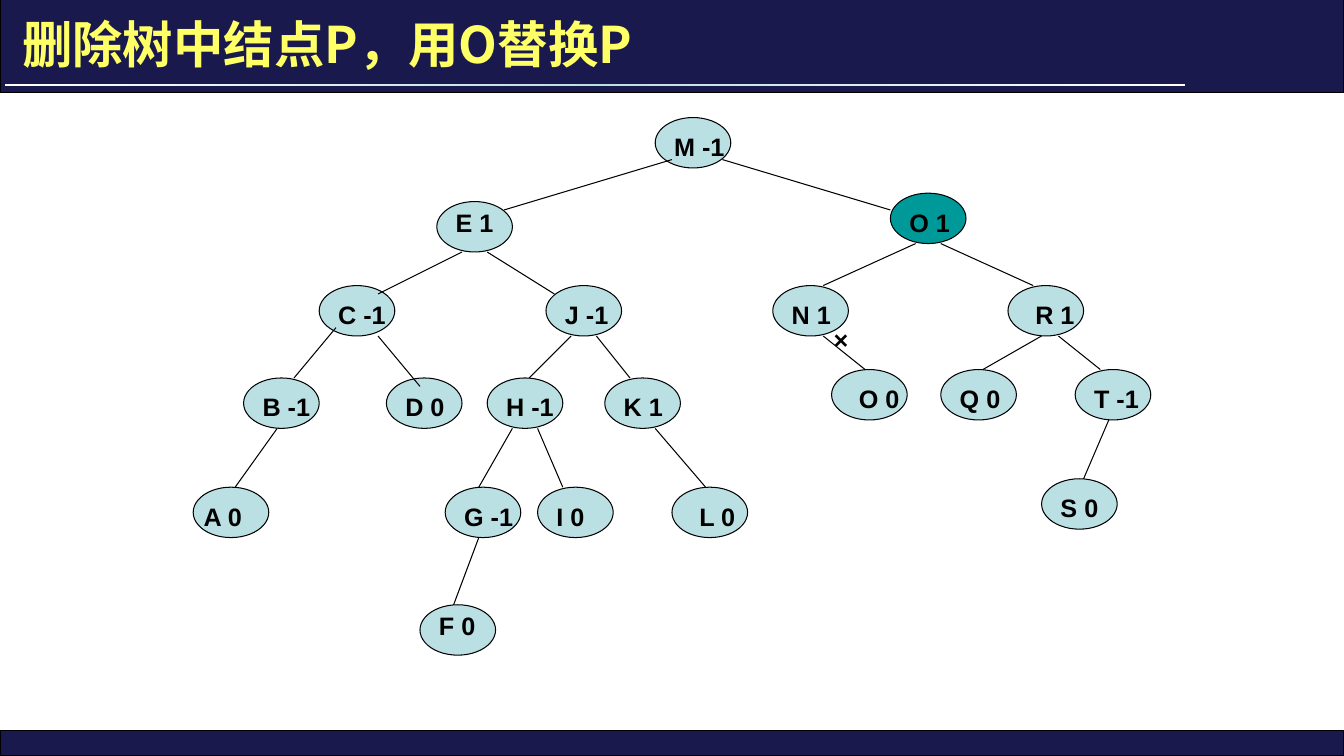
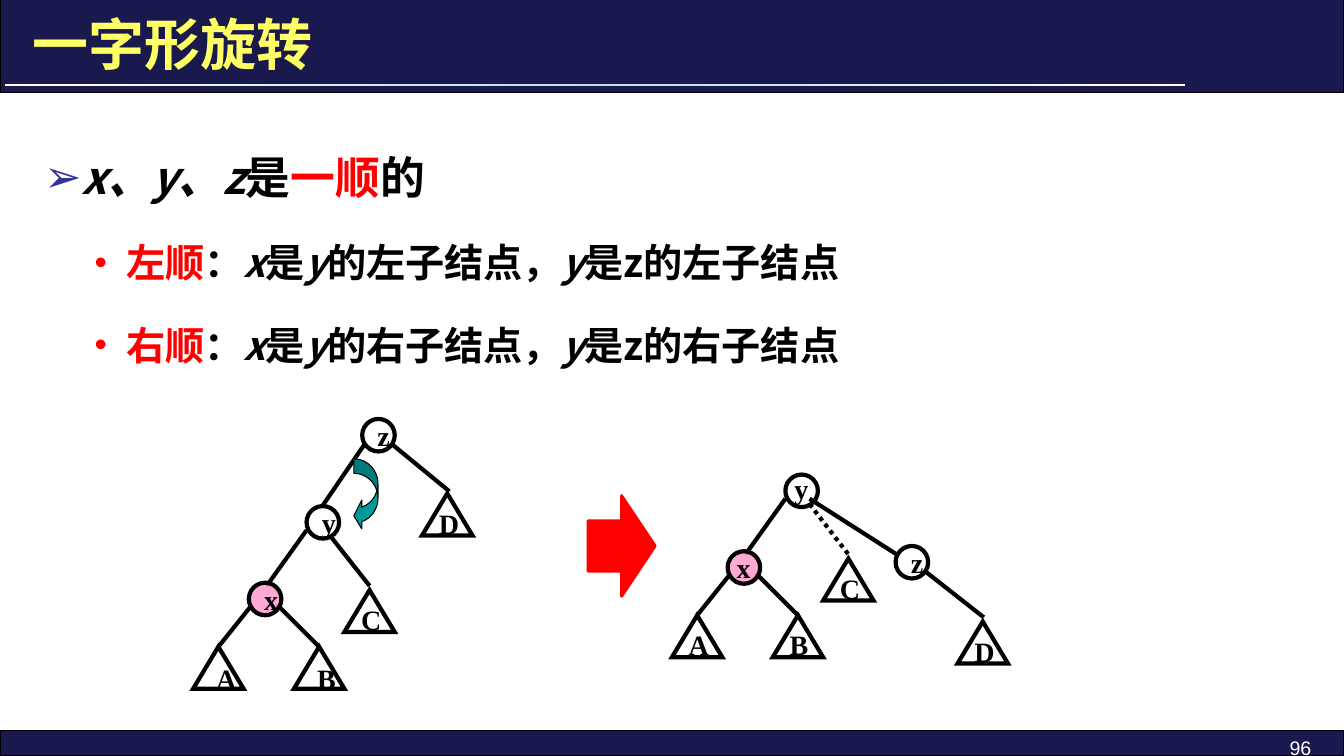
from lxml import etree
from pptx import Presentation, util as u
from pptx.dml.color import RGBColor
from pptx.enum import dml, shapes, text
from pptx.oxml.ns import qn

PX = 9525
COLORS = {"navy": "19194D", "black": "000000", "white": "FFFFFF", "yellow": "FFFF66",
          "pale": "BBE0E3", "teal": "009999", "pink": "FF99CC", "red": "FF0000",
          "bullet": "333399"}
HAN = "Noto Sans CJK SC"
SHAPE = shapes.MSO_SHAPE
WIDE, NEAR, LOW = (10, 5, 10, 5), (4, 1, 10, 5), (4, 5, 10, 5)

# label, left, top, then the offset of the label where it differs
AVL_SIZE, LABEL_SIZE, LABEL_OFFSET = (72, 48), (72, 38), (8, 8)
AVL_NODES = [
    ("M -1", 624, 112), ("E 1", 416, 192, (8, 0)), ("O 1", 848, 184),
    ("C -1", 304, 272), ("J -1", 520, 272), ("N 1", 736, 272),
    ("R 1", 960, 272, (16, 8)),
    ("B -1", 232, 360), ("D 0", 368, 360), ("H -1", 464, 360), ("K 1", 576, 360),
    ("O 0", 792, 352, (16, 8)), ("Q 0", 896, 352), ("T -1", 1024, 352),
    ("A 0", 184, 464, (0, 8)), ("G -1", 424, 464), ("I 0", 512, 464),
    ("L 0", 640, 464, (16, 8)), ("S 0", 992, 456),
    ("F 0", 400, 576, (8, 0)),
]
REPLACEMENT = "O 1"
AVL_EDGES = [
    (640, 152, 480, 200), (688, 152, 848, 200), (440, 240, 360, 280), (464, 240, 528, 280),
    (320, 312, 280, 360), (360, 320, 400, 368), (264, 408, 224, 464), (544, 320, 504, 360),
    (568, 320, 600, 360), (488, 408, 456, 464), (512, 408, 536, 464), (624, 408, 672, 464),
    (456, 512, 432, 576), (872, 232, 784, 272), (896, 232, 984, 272), (784, 320, 824, 352),
    (992, 320, 936, 352), (1008, 320, 1048, 352), (1056, 400, 1032, 456),
]

# level, then runs of (text, marks): i italic, r red
RULES = [
    (0, [("x、y、z", "i"), ("是", ""), ("一顺", "r"), ("的", "")]),
    (1, [("左顺", "r"), ("：", ""), ("x", "i"), ("是", ""), ("y", "i"),
         ("的左子结点，", ""), ("y", "i"), ("是z的左子结点", "")]),
    (1, [("右顺", "r"), ("：", ""), ("x", "i"), ("是", ""), ("y", "i"),
         ("的右子结点，", ""), ("y", "i"), ("是z的右子结点", "")]),
]
# size, indent, hanging, bullet, bullet colour, bullet size in %
LEVELS = [(32, 36, 36, "➢", "bullet", 100), (28, 78, 30, "•", "red", 90)]

# lower case labels are nodes, capitals are subtrees
BEFORE = {
    "parts": [("y", 292, 482, WIDE), ("x", 237, 555, WIDE), ("z", 345, 399, WIDE),
              ("A", 184, 616, WIDE), ("B", 280, 616, WIDE), ("C", 328, 562, NEAR),
              ("D", 402, 470, NEAR)],
    "edges": [(348, 422, 307, 482), (292, 505, 254, 558), (264, 576, 304, 616),
              (240, 576, 208, 616), (315, 511, 352, 558), (372, 422, 428, 468)],
    "moved": [],
}
AFTER = {
    "parts": [("y", 748, 452, NEAR), ("x", 693, 525, LOW), ("z", 853, 520, WIDE),
              ("A", 640, 586, NEAR), ("B", 736, 586, NEAR), ("C", 784, 532, NEAR),
              ("D", 912, 592, NEAR)],
    "edges": [(854, 528, 771, 475), (748, 475, 710, 528), (720, 546, 760, 586),
              (696, 546, 664, 586), (881, 544, 937, 588)],
    "moved": [(771, 480, 808, 528)],
}


def rgb(name):
    return RGBColor.from_string(COLORS[name])


def px(*lengths):
    return [round(length * PX) for length in lengths]


def add_shape(slide, kind, box, fill=None, line="black", width=0.75):
    shape = slide.shapes.add_shape(kind, *px(*box))
    shape.shadow.inherit = False
    if fill:
        shape.fill.solid()
        shape.fill.fore_color.rgb = rgb(fill)
    else:
        shape.fill.background()
    if line:
        shape.line.color.rgb = rgb(line)
        shape.line.width = u.Pt(width)
    else:
        shape.line.fill.background()
    return shape


def add_edge(slide, ends, width=0.75, dotted=False):
    edge = slide.shapes.add_connector(shapes.MSO_CONNECTOR.STRAIGHT, *px(*ends))
    edge.line.color.rgb = rgb("black")
    edge.line.width = u.Pt(width)
    if dotted:
        edge.line.dash_style = dml.MSO_LINE.ROUND_DOT
    etree.SubElement(edge._element.spPr, qn("a:effectLst"))


def style_run(run, size, face, color="black", bold=True, italic=False):
    font = run.font
    font.size, font.name, font.bold, font.italic = u.Pt(size), face, bold, italic
    font.color.rgb = rgb(color)
    east_asian = etree.Element(qn("a:ea"), typeface=HAN)
    run._r.get_or_add_rPr().find(qn("a:latin")).addnext(east_asian)


def set_frame(shape, inset=WIDE, wrap=True, anchor="TOP"):
    frame = shape.text_frame
    frame.word_wrap = wrap
    frame.vertical_anchor = text.MSO_ANCHOR[anchor]
    (frame.margin_left, frame.margin_top,
     frame.margin_right, frame.margin_bottom) = px(*inset)
    return frame


def write(shape, words, size, face, color="black", bold=True, align="LEFT", **frame_options):
    frame = set_frame(shape, **frame_options)
    frame.text = words
    paragraph = frame.paragraphs[0]
    paragraph.alignment = text.PP_ALIGN[align]
    style_run(paragraph.runs[0], size, face, color, bold)


def add_text(slide, box, *args, **options):
    write(slide.shapes.add_textbox(*px(*box)), *args, **options)


def add_rule(slide):
    """White line under the title with a pale middle."""
    rule = add_shape(slide, SHAPE.RECTANGLE, (5, 80, 1124, 2), "white", None)
    rule.fill.gradient()
    rule.fill.gradient_angle = 0
    stops = rule._element.spPr.find(qn("a:gradFill")).find(qn("a:gsLst"))
    for stop in list(stops):
        stops.remove(stop)
    for position, color in ((0, "white"), (50000, "pale"), (100000, "white")):
        stop = etree.SubElement(stops, qn("a:gs"), pos=str(position))
        etree.SubElement(stop, qn("a:srgbClr"), val=COLORS[color])


def new_slide(deck, title, left, size, face, inset=WIDE):
    slide = deck.slides.add_slide(deck.slide_layouts[6])
    for top, height in ((696, 24), (0, 88)):
        add_shape(slide, SHAPE.RECTANGLE, (0, top, 1280, height), "navy")
    add_rule(slide)
    add_text(slide, (left, 8, 1131 - left, 67), title, size, face, "yellow",
             inset=inset, anchor="MIDDLE")
    return slide


def add_avl_tree(slide):
    for label, left, top, *_ in AVL_NODES:
        fill = "teal" if label == REPLACEMENT else "pale"
        add_shape(slide, SHAPE.OVAL, (left, top, *AVL_SIZE), fill)
    for ends in AVL_EDGES:
        add_edge(slide, ends)
    for label, left, top, *offset in AVL_NODES:
        right, down = offset[0] if offset else LABEL_OFFSET
        add_text(slide, (left + right, top + down, *LABEL_SIZE), label, 18, "Arial")
    add_text(slide, (784, 304, 56, 38), "×", 18, "Arial")


def add_bullet(paragraph, indent, hanging, sign, color, percent):
    props = paragraph._p.get_or_add_pPr()
    props.set("marL", str(indent * PX))
    props.set("indent", str(-hanging * PX))
    tint = etree.SubElement(props, qn("a:buClr"))
    etree.SubElement(tint, qn("a:srgbClr"), val=COLORS[color])
    etree.SubElement(props, qn("a:buSzPct"), val=str(percent * 1000))
    etree.SubElement(props, qn("a:buFont"), typeface="Arial")
    etree.SubElement(props, qn("a:buChar"), char=sign)


def add_rules(slide):
    frame = set_frame(slide.shapes.add_textbox(*px(32, 112, 1216, 560)))
    for number, (level, runs) in enumerate(RULES):
        paragraph = frame.paragraphs[0] if number == 0 else frame.add_paragraph()
        size, *bullet = LEVELS[level]
        paragraph.level = level
        paragraph.line_spacing = 1.5
        if number:
            paragraph.space_before = u.Pt(0.3 * size)
        add_bullet(paragraph, *bullet)
        for words, marks in runs:
            run = paragraph.add_run()
            run.text = words
            style_run(run, size, HAN, "red" if "r" in marks else "black",
                      italic="i" in marks)


def add_rotation_tree(slide, tree):
    for ends in tree["edges"]:
        add_edge(slide, ends, 3)
    for ends in tree["moved"]:
        add_edge(slide, ends, 3, dotted=True)
    for label, left, top, inset in tree["parts"]:
        if label.isupper():
            part = add_shape(slide, SHAPE.ISOSCELES_TRIANGLE, (left, top, 48, 40), width=3)
            etree.SubElement(part.line._get_or_add_ln(), qn("a:miter"), lim="800000")
        else:
            fill = "pink" if label == "x" else None
            part = add_shape(slide, SHAPE.OVAL, (left, top, 31, 31), fill, width=3)
            if fill:
                tint = part._element.spPr.find(qn("a:solidFill"))[0]
                etree.SubElement(tint, qn("a:alpha"), val="83000")
        write(part, label, 20, "Times New Roman", inset=inset, wrap=False, anchor="MIDDLE")


def main():
    deck = Presentation()
    deck.slide_width, deck.slide_height = px(1280, 720)

    deletion = new_slide(deck, "删除树中结点P，用O替换P", 0, 36, HAN, inset=(21, 5, 10, 5))
    add_avl_tree(deletion)

    rotation = new_slide(deck, "一字形旋转", 21, 40, "Cambria")
    add_rules(rotation)
    add_text(rotation, (1067, 696, 192, 24), "96", 14, "Arial", "white", False, "RIGHT")
    add_rotation_tree(rotation, BEFORE)
    turn = add_shape(rotation, SHAPE.CURVED_LEFT_ARROW, (337, 437, 23, 68), "teal")
    for index, value in enumerate((0.6, 1.19, 0.33)):
        turn.adjustments[index] = value
    add_rotation_tree(rotation, AFTER)
    add_shape(rotation, SHAPE.RIGHT_ARROW, (560, 472, 64, 96), "red", "red", 2)

    deck.save("out.pptx")


if __name__ == "__main__":
    main()
